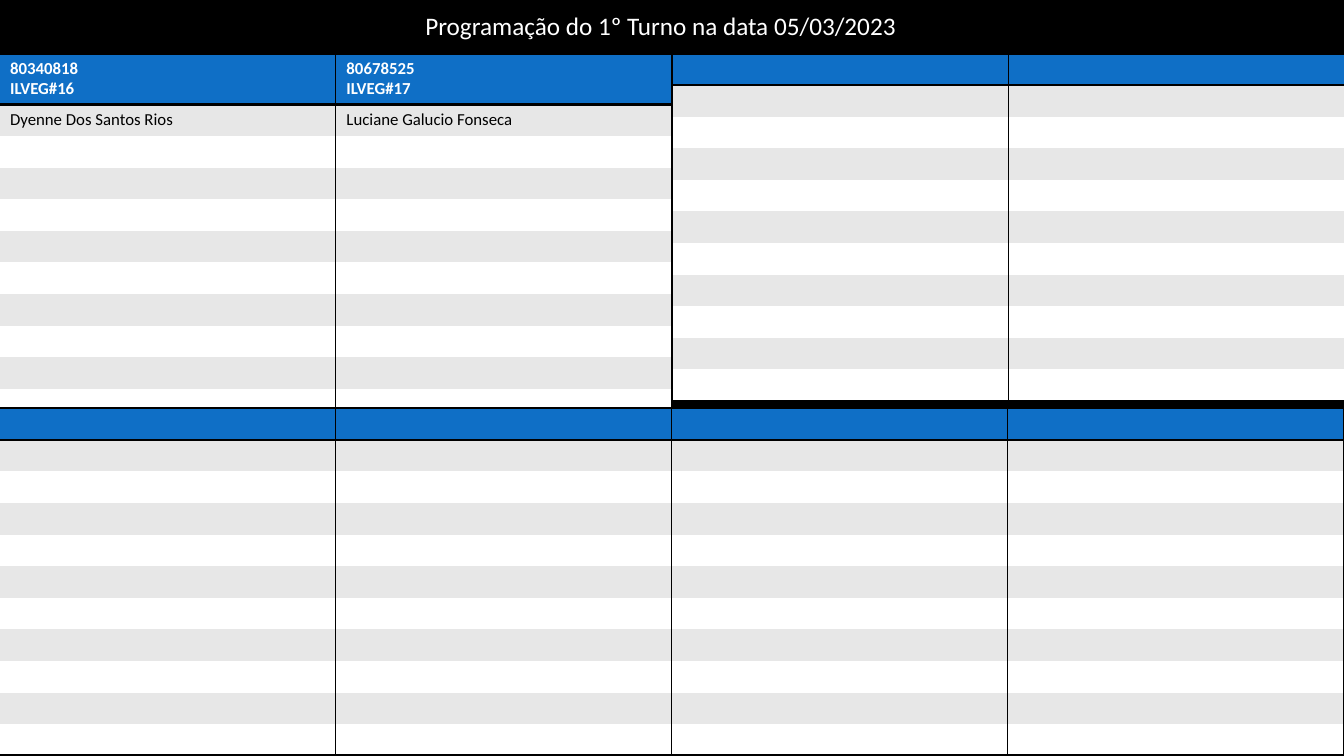
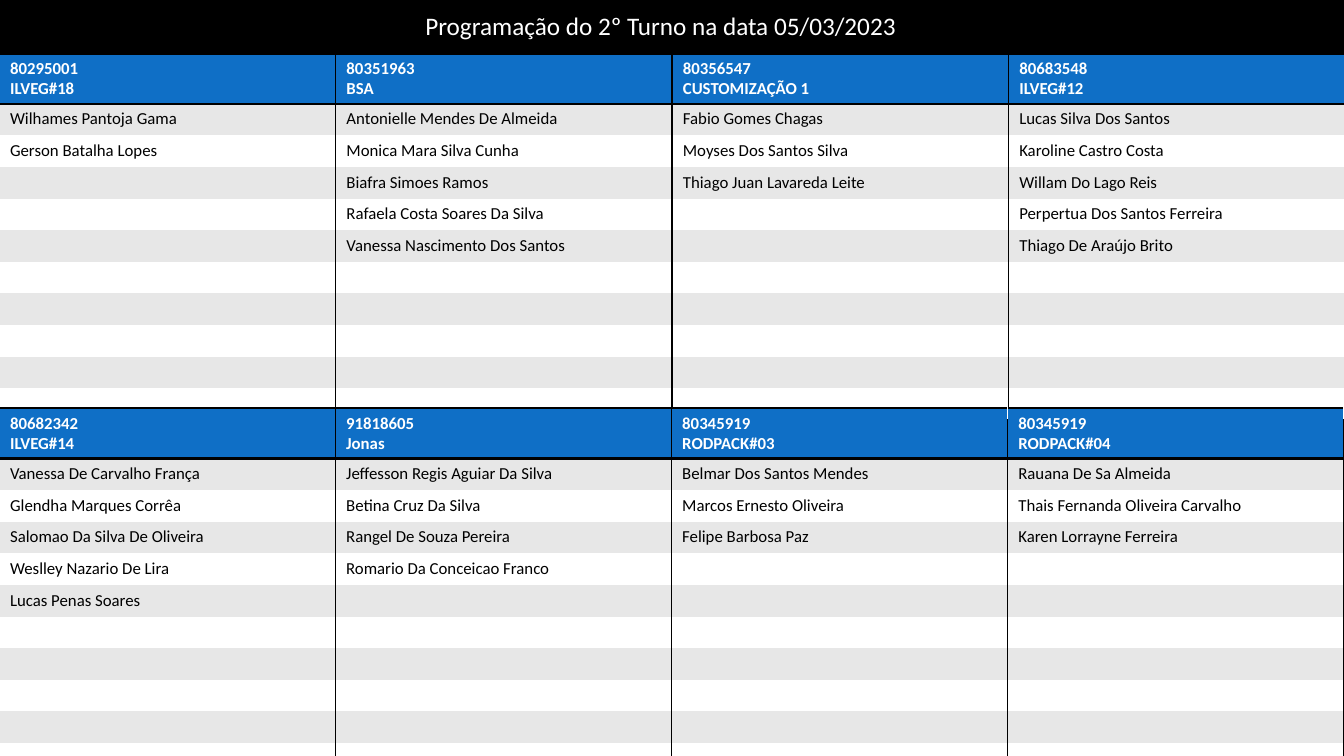
from lxml import etree
from pptx import Presentation
from pptx.dml.color import RGBColor
from pptx.enum import text
from pptx.oxml import ns
from pptx.util import Inches, Pt

BLACK = RGBColor(0x00, 0x00, 0x00)
WHITE = RGBColor(0xFF, 0xFF, 0xFF)
BLUE = RGBColor(0x0F, 0x6F, 0xC6)
GREY = RGBColor(0xE7, 0xE7, 0xE7)
FONT = "Calibri"
PLAIN_TABLE = "{2D5ABB26-0587-4C30-8999-92F81FD0307C}"

ROWS = 11
COLUMNS = 4
CARD_WIDTH, CARD_HEIGHT = 3.32, 3.45
# Each band of cards: top edge and left edge of its last card
BANDS = [(0.53, 10.01), (4.05, 10)]

# Each crew: order number, machine, people
FIRST_SHIFT = [
    ("80340818", "ILVEG#16", ["Dyenne Dos Santos Rios"]),
    ("80678525", "ILVEG#17", ["Luciane Galucio Fonseca"]),
]
SECOND_SHIFT = [
    ("80295001", "ILVEG#18", ["Wilhames Pantoja Gama", "Gerson Batalha Lopes"]),
    ("80351963", "BSA", [
        "Antonielle Mendes De Almeida", "Monica Mara Silva Cunha",
        "Biafra Simoes Ramos", "Rafaela Costa Soares Da Silva",
        "Vanessa Nascimento Dos Santos"]),
    ("80356547", "CUSTOMIZAÇÃO 1", [
        "Fabio Gomes Chagas", "Moyses Dos Santos Silva",
        "Thiago Juan Lavareda Leite"]),
    ("80683548", "ILVEG#12", [
        "Lucas Silva Dos Santos", "Karoline Castro Costa",
        "Willam Do Lago Reis", "Perpertua Dos Santos Ferreira",
        "Thiago De Araújo Brito"]),
    ("80682342", "ILVEG#14", [
        "Vanessa De Carvalho França", "Glendha Marques Corrêa",
        "Salomao Da Silva De Oliveira", "Weslley Nazario De Lira",
        "Lucas Penas Soares"]),
    ("91818605", "Jonas", [
        "Jeffesson Regis Aguiar Da Silva", "Betina Cruz Da Silva",
        "Rangel De Souza Pereira", "Romario Da Conceicao Franco"]),
    ("80345919", "RODPACK#03", [
        "Belmar Dos Santos Mendes", "Marcos Ernesto Oliveira",
        "Felipe Barbosa Paz"]),
    ("80345919", "RODPACK#04", [
        "Rauana De Sa Almeida", "Thais Fernanda Oliveira Carvalho",
        "Karen Lorrayne Ferreira"]),
]
EMPTY_CREW = ("", "", [])


def write_line(paragraph, line, color, size, bold=False):
    run = paragraph.add_run()
    run.text = line
    run.font.color.rgb = color
    for name, value in {"name": FONT, "size": Pt(size), "bold": bold}.items():
        setattr(run.font, name, value)


def add_border(cell, side):
    """Draw a 2 pt black edge; side is T or B. Must precede the cell's fill."""
    edge = etree.SubElement(cell._tc.get_or_add_tcPr(), ns.qn(f"a:ln{side}"), w=str(Pt(2)))
    fill = etree.SubElement(edge, ns.qn("a:solidFill"))
    etree.SubElement(fill, ns.qn("a:srgbClr"), val=str(BLACK))


def fill_cell(cell, lines, color, background, borders="", bold=False):
    for side in borders:
        add_border(cell, side)
    cell.fill.solid()
    cell.fill.fore_color.rgb = background
    frame = cell.text_frame
    for index, line in enumerate(lines):
        paragraph = frame.add_paragraph() if index else frame.paragraphs[0]
        write_line(paragraph, line, color, 12, bold)
    if not lines:
        # The end mark's size keeps an empty row at its set height
        etree.SubElement(frame.paragraphs[0]._p, ns.qn("a:endParaRPr"), sz="1200")


def add_crew_card(slide, left, top, crew):
    order, machine, people = crew
    table = slide.shapes.add_table(
        ROWS, 1, Inches(left), Inches(top), Inches(CARD_WIDTH), Inches(CARD_HEIGHT)).table
    table._tbl.tblPr.find(ns.qn("a:tableStyleId")).text = PLAIN_TABLE
    for row in table.rows:
        row.height = Inches(CARD_HEIGHT / ROWS)
    heading = [order, machine] if order else []
    fill_cell(table.cell(0, 0), heading, WHITE, BLUE, "TB", bold=True)
    for index in range(1, ROWS):
        fill_cell(table.cell(index, 0), people[index - 1:index], BLACK,
                  GREY if index % 2 else WHITE, "B" if index == ROWS - 1 else "")


def add_title(slide, title):
    frame = slide.shapes.add_textbox(
        Inches(4.12), Inches(0.05), Inches(5.11), Inches(0.4)).text_frame
    frame.word_wrap = False
    frame.auto_size = text.MSO_AUTO_SIZE.SHAPE_TO_FIT_TEXT
    write_line(frame.paragraphs[0], title, WHITE, 18)


def add_shift_slide(prs, shift, crews):
    slide = prs.slides.add_slide(prs.slide_layouts[6])
    slide.background.fill.solid()
    slide.background.fill.fore_color.rgb = BLACK
    for index in range(COLUMNS * len(BANDS)):
        band, column = divmod(index, COLUMNS)
        top, last_left = BANDS[band]
        crew = crews[index] if index < len(crews) else EMPTY_CREW
        add_crew_card(slide, column * last_left / (COLUMNS - 1), top, crew)
    add_title(slide, f"Programação do {shift}º Turno na data 05/03/2023")


def main():
    prs = Presentation()
    prs.slide_width, prs.slide_height = Inches(13.33), Inches(7.5)
    for shift, crews in enumerate([FIRST_SHIFT, SECOND_SHIFT], start=1):
        add_shift_slide(prs, shift, crews)
    prs.save("out.pptx")


if __name__ == "__main__":
    main()
